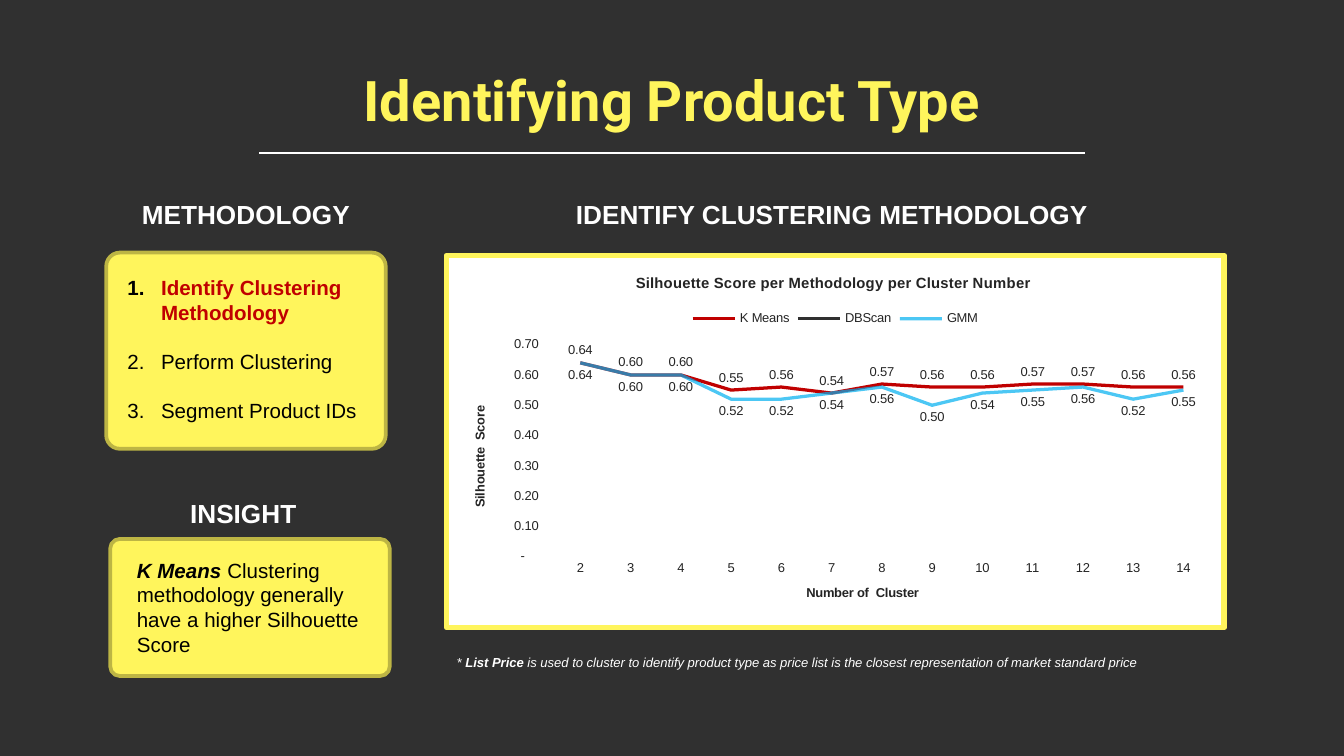
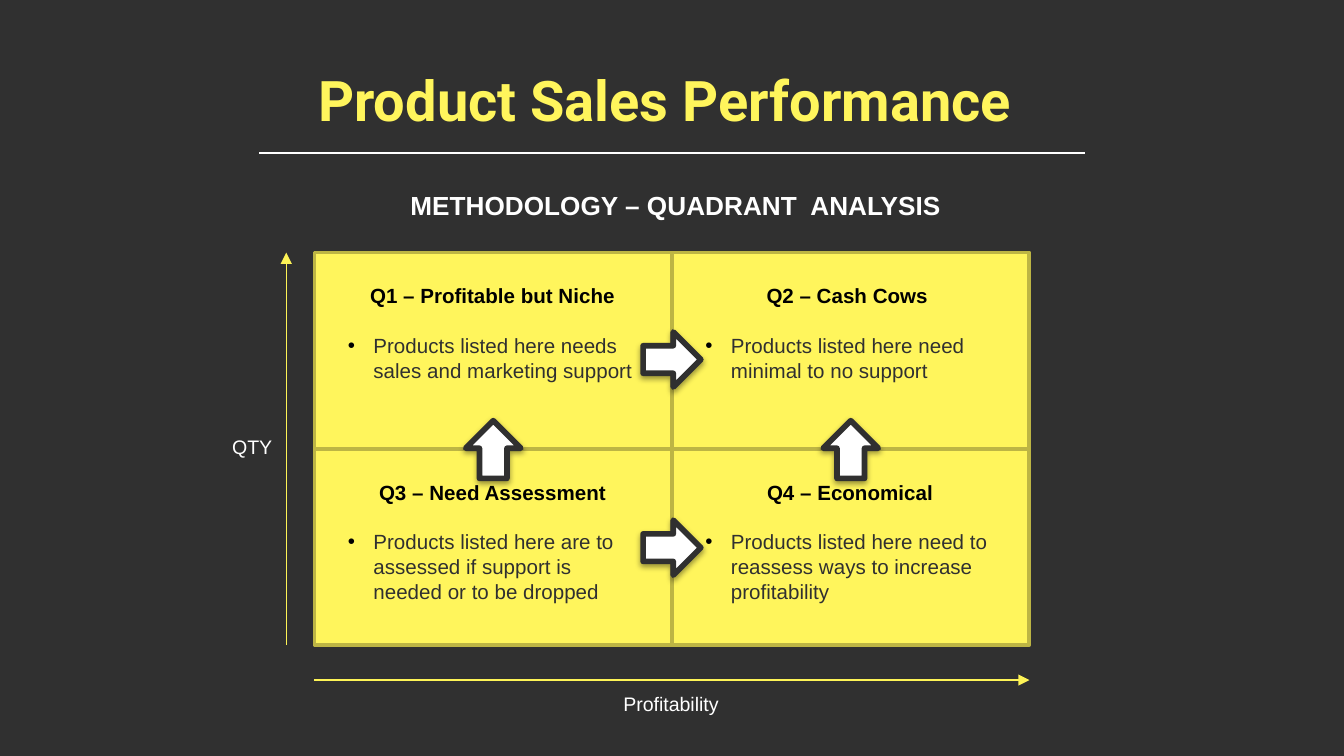
from dataclasses import dataclass
from typing import Optional

from lxml.etree import SubElement
from pptx import Presentation
from pptx.chart.data import CategoryChartData
from pptx.dml.color import RGBColor
from pptx.enum.chart import XL_CHART_TYPE as ChartType
from pptx.enum.chart import XL_LABEL_POSITION as LabelPos
from pptx.enum.chart import XL_LEGEND_POSITION as LegendPos
from pptx.enum.chart import XL_TICK_MARK as Tick
from pptx.enum.shapes import MSO_CONNECTOR as Connector
from pptx.enum.shapes import MSO_SHAPE as Shape
from pptx.enum.text import PP_ALIGN as Align
from pptx.oxml import parse_xml
from pptx.oxml.ns import nsdecls, qn
from pptx.util import Inches, Pt

COLORS = {
    "background": "303030", "yellow": "FFF55C", "olive": "BDB544",
    "axis": "FDF356", "white": "FFFFFF", "black": "000000",
    "red": "C00000", "blue": "00B0F0", "ink": "242424",
}
BODY_FONT = "Arial"
NUMBER_FORMAT = '_(* #,##0.00_);_(* \\(#,##0.00\\);_(* "-"??_);_(@_)'
CELL_WIDTH, CELL_HEIGHT = 2.66, 1.46
GRID_LEFT, GRID_TOP = 2.34, 1.88
GRID_RIGHT, GRID_BOTTOM = GRID_LEFT + 2 * CELL_WIDTH, GRID_TOP + 2 * CELL_HEIGHT
ARROW_WIDTH, ARROW_HEIGHT = 0.43, 0.41


@dataclass(frozen=True)
class Box:
    left: float
    top: float
    width: float
    height: float

    def lengths(self) -> tuple:
        return tuple(Inches(v) for v in (self.left, self.top, self.width, self.height))


@dataclass(frozen=True)
class Style:
    size: float
    color: str
    bold: bool = False
    italic: bool = False
    name: str = BODY_FONT


@dataclass(frozen=True)
class Line:
    text: str
    style: Style
    bullet: str = ""
    indent: float = 0
    before: float = 0


@dataclass(frozen=True)
class Method:
    name: str
    color: str
    scores: tuple
    label_side: LabelPos
    alpha: Optional[int] = None


@dataclass(frozen=True)
class Quadrant:
    column: int
    row: int
    name: str
    advice: str


TITLE = Style(30, "yellow", bold=True, name="Roboto")
HEADING = Style(14, "white", bold=True)
BODY = Style(11, "black")
STRONG = Style(11, "black", bold=True)
CURRENT = Style(11, "red", bold=True)
ADVICE = Style(11, "background")
AXIS_LABEL = Style(10.5, "white")
NOTE = Style(7, "white", italic=True)
CHART_TEXT = Style(7, "ink")
CHART_STRONG = Style(7, "ink", bold=True)
CHART_TITLE = Style(8, "ink", bold=True)

NUMBER, DOT = '<a:buAutoNum %s type="arabicPeriod"/>', '<a:buChar %s char="•"/>'
STEPS = [
    Line("Identify Clustering Methodology", CURRENT, NUMBER, 0.25),
    Line("Perform Clustering", BODY, NUMBER, 0.25, 13),
    Line("Segment Product IDs", BODY, NUMBER, 0.25, 13),
]
METHODS = [
    Method("K Means", "red", (0.64, 0.60, 0.60, 0.55, 0.56, 0.54, 0.57, 0.56, 0.56,
                              0.57, 0.57, 0.56, 0.56), LabelPos.ABOVE),
    Method("DBScan", "background", (None,) * 13, LabelPos.BELOW),
    Method("GMM", "blue", (0.64, 0.60, 0.60, 0.52, 0.52, 0.54, 0.56, 0.50, 0.54,
                           0.55, 0.56, 0.52, 0.55), LabelPos.BELOW, 70),
]
QUADRANTS = [
    Quadrant(0, 0, "Q1 – Profitable but Niche",
             "Products listed here needs sales and marketing support"),
    Quadrant(1, 0, "Q2 – Cash Cows ", "Products listed here need minimal to no support"),
    Quadrant(0, 1, "Q3 – Need Assessment",
             "Products listed here are to assessed if support is needed or to be dropped"),
    Quadrant(1, 1, "Q4 – Economical",
             "Products listed here need to reassess ways to increase profitability"),
]


def rgb(color: str) -> RGBColor:
    return RGBColor.from_string(COLORS[color])


def set_font(font, style: Style) -> None:
    font.name, font.size = style.name, Pt(style.size)
    font.bold, font.italic = style.bold, style.italic
    font.color.rgb = rgb(style.color)


def add_text(slide, box: Box, lines: list, align=Align.LEFT, wrap: bool = True,
             inset: float = 0.05):
    frame = slide.shapes.add_textbox(*box.lengths()).text_frame
    frame.word_wrap = wrap
    frame.margin_top = frame.margin_bottom = Inches(inset)
    for index, line in enumerate(lines):
        paragraph = frame.add_paragraph() if index else frame.paragraphs[0]
        paragraph.text = line.text
        paragraph.alignment = align
        if line.before:
            paragraph.space_before = Pt(line.before)
        if line.bullet:
            props = paragraph._p.get_or_add_pPr()
            props.set("marL", str(Inches(line.indent)))
            props.set("indent", str(-Inches(line.indent)))
            color = SubElement(props, qn("a:buClr"))
            SubElement(color, qn("a:srgbClr"), val=COLORS["black"])
            SubElement(props, qn("a:buFont"), typeface=BODY_FONT)
            props.append(parse_xml(line.bullet % nsdecls("a")))
        set_font(paragraph.font, line.style)
    return frame


def add_rich_text(slide, box: Box, parts: list) -> None:
    paragraph = add_text(slide, box, [Line("", parts[0][1])]).paragraphs[0]
    for text, style in parts:
        run = paragraph.add_run()
        run.text = text
        set_font(run.font, style)


def add_heading(slide, text: str, box: Box) -> None:
    add_text(slide, box, [Line(text, HEADING)], Align.CENTER)


def add_line(slide, start: tuple, end: tuple, color: str, arrow: bool = False) -> None:
    line = slide.shapes.add_connector(
        Connector.STRAIGHT, *(Inches(v) for v in (*start, *end)))
    line.line.color.rgb, line.line.width = rgb(color), Pt(0.75)
    if arrow:
        SubElement(line.line._get_or_add_ln(), qn("a:tailEnd"), type="triangle")
    SubElement(line._element.spPr, qn("a:effectLst"))


def add_panel(slide, kind, box: Box, fill: str = "yellow", border: str = "olive",
              width: float = 2):
    panel = slide.shapes.add_shape(kind, *box.lengths())
    panel.shadow.inherit = False
    panel.fill.solid()
    panel.fill.fore_color.rgb = rgb(fill)
    panel.line.color.rgb, panel.line.width = rgb(border), Pt(width)
    return panel


def add_card(slide, box: Box) -> None:
    add_panel(slide, Shape.ROUNDED_RECTANGLE, box).adjustments[0] = 0.07


def add_move_arrow(slide, left: float, top: float, rotation: int = 0) -> None:
    arrow = add_panel(slide, Shape.RIGHT_ARROW, Box(left, top, ARROW_WIDTH, ARROW_HEIGHT),
                      "white", "background", 3)
    arrow.rotation = rotation
    effects = arrow._element.spPr.find(qn("a:effectLst"))
    shadow = SubElement(effects, qn("a:outerShdw"), blurRad=str(Pt(3.1)),
                        dist=str(Pt(1.6)), dir="5400000", rotWithShape="0")
    color = SubElement(shadow, qn("a:srgbClr"), val=COLORS["black"])
    SubElement(color, qn("a:alpha"), val="38000")


def place(element, index: int, **fractions: float) -> None:
    for old in element.findall(qn("c:layout")):
        element.remove(old)
    layout = parse_xml(f"<c:layout {nsdecls('c')}/>")
    manual = SubElement(layout, qn("c:manualLayout"))
    if "w" in fractions and index == 0:
        SubElement(manual, qn("c:layoutTarget"), val="inner")
    for axis in "xy":
        SubElement(manual, qn(f"c:{axis}Mode"), val="edge")
    for key, value in fractions.items():
        SubElement(manual, qn(f"c:{key}"), val=str(value))
    element.insert(index, layout)


def set_title(title, text: str, style: Style, x: float, y: float) -> None:
    title.text_frame.text = text
    set_font(title.text_frame.paragraphs[0].font, style)
    place(title._element, 1, x=x, y=y)


def add_score_chart(slide, box: Box) -> None:
    data = CategoryChartData(number_format="0.00")
    data.categories = [str(count) for count in range(2, 15)]
    for method in METHODS:
        data.add_series(method.name, method.scores)
    chart = slide.shapes.add_chart(ChartType.LINE, *box.lengths(), data).chart
    set_font(chart.font, CHART_TEXT)
    chart.element.find(qn("c:chart")).addnext(parse_xml(
        f"<c:spPr {nsdecls('c', 'a')}>"
        f'<a:solidFill><a:srgbClr val="{COLORS["white"]}"/></a:solidFill>'
        f'<a:ln w="{Pt(3)}"><a:solidFill><a:srgbClr val="{COLORS["yellow"]}"/>'
        "</a:solidFill></a:ln></c:spPr>"))
    chart.has_title = chart.has_legend = True
    set_title(chart.chart_title, "Silhouette Score per Methodology per Cluster Number",
              CHART_TITLE, 0.24, 0.04)
    chart.legend.position = LegendPos.TOP
    chart.legend.include_in_layout = False
    set_font(chart.legend.font, CHART_TEXT)
    place(chart.legend._element, 1, x=0.31, y=0.14, w=0.38, h=0.06)
    place(chart.element.find(".//" + qn("c:plotArea")), 0, x=0.14, y=0.24, w=0.84, h=0.57)

    clusters, scores = chart.category_axis, chart.value_axis
    set_title(clusters.axis_title, "Number of  Cluster", CHART_STRONG, 0.46, 0.88)
    set_title(scores.axis_title, "Silhouette  Score", CHART_STRONG, 0.03, 0.4)
    rotated = scores.axis_title._element.find(".//" + qn("a:bodyPr"))
    rotated.set("rot", "-5400000")
    rotated.set("vert", "horz")
    for axis, tick in ((clusters, Tick.NONE), (scores, Tick.OUTSIDE)):
        axis.has_major_gridlines = False
        axis.major_tick_mark, axis.minor_tick_mark = tick, Tick.NONE
        axis.format.line.fill.background()
        set_font(axis.tick_labels.font, CHART_TEXT)
    scores.minimum_scale, scores.maximum_scale, scores.major_unit = 0, 0.7, 0.1
    scores.tick_labels.number_format = NUMBER_FORMAT
    scores.tick_labels.number_format_is_linked = False

    chart.plots[0].vary_by_categories = False
    for series, method in zip(chart.plots[0].series, METHODS):
        series.smooth = False
        line = series.format.line
        line.color.rgb, line.width = rgb(method.color), Pt(1.75)
        if method.alpha:
            color = line._get_or_add_ln().find(".//" + qn("a:srgbClr"))
            SubElement(color, qn("a:alpha"), val=str(method.alpha * 1000))
        labels = series.data_labels
        labels.show_value, labels.position = True, method.label_side
        labels.number_format, labels.number_format_is_linked = "0.00", False
        set_font(labels.font, CHART_TEXT)


def add_base_slide(deck, title: str):
    slide = deck.slides.add_slide(deck.slide_layouts[6])
    slide.background.fill.solid()
    slide.background.fill.fore_color.rgb = rgb("background")
    add_text(slide, Box(1.81, 0.39, 6.38, 0.83), [Line(title, TITLE)], Align.CENTER, inset=0.1)
    add_line(slide, (1.93, 1.14), (8.07, 1.14), "white")
    return slide


def build_product_type(deck) -> None:
    slide = add_base_slide(deck, "Identifying Product Type")
    add_heading(slide, "METHODOLOGY", Box(0.79, 1.43, 2.08, 0.34))
    add_card(slide, Box(0.79, 1.88, 2.08, 1.46))
    add_text(slide, Box(0.85, 2, 2.01, 1.21), STEPS)
    add_heading(slide, "IDENTIFY CLUSTERING METHODOLOGY ", Box(3.22, 1.43, 5.99, 0.34))
    add_score_chart(slide, Box(3.3, 1.88, 5.83, 2.81))
    add_heading(slide, "INSIGHT", Box(0.77, 3.65, 2.08, 0.34))
    add_card(slide, Box(0.82, 4.01, 2.08, 1.02))
    add_rich_text(slide, Box(0.92, 4.1, 1.93, 0.84), [
        ("K Means ", Style(11, "black", True, True)),
        ("Clustering methodology generally have a higher Silhouette Score", BODY)])
    add_rich_text(slide, Box(3.3, 4.82, 5.83, 0.22), [
        ("* ", NOTE), ("List Price ", Style(7, "white", True, True)),
        ("is used to cluster to identify product type as price list is the closest "
         "representation of market standard price", NOTE)])


def build_sales_performance(deck) -> None:
    slide = add_base_slide(deck, "Product Sales Performance ")
    add_heading(slide, " METHODOLOGY – QUADRANT  ANALYSIS", Box(2.34, 1.36, 5.32, 0.34))
    add_line(slide, (GRID_LEFT, 5.06), (GRID_RIGHT, 5.06), "axis", arrow=True)
    add_line(slide, (2.13, GRID_BOTTOM), (2.13, GRID_TOP), "axis", arrow=True)
    add_text(slide, Box(4.54, 5.1, 0.92, 0.28), [Line("Profitability", AXIS_LABEL)], wrap=False)
    add_text(slide, Box(1.63, 3.19, 0.5, 0.28), [Line("QTY", AXIS_LABEL)], wrap=False)
    for quadrant in QUADRANTS:
        left = GRID_LEFT + quadrant.column * CELL_WIDTH
        top = GRID_TOP + quadrant.row * CELL_HEIGHT
        add_panel(slide, Shape.RECTANGLE, Box(left, top, CELL_WIDTH, CELL_HEIGHT))
        add_text(slide, Box(left + 0.2, top + 0.18, 2.25, 0.29),
                 [Line(quadrant.name, STRONG)], Align.CENTER)
        add_text(slide, Box(left + 0.15, top + 0.55, 2.35, 0.66 if quadrant.row else 0.47),
                 [Line(quadrant.advice, ADVICE, DOT, 0.19)])
    for top in (2.47, 3.87):
        add_move_arrow(slide, GRID_LEFT + CELL_WIDTH - ARROW_WIDTH / 2, top)
    for column in range(2):
        center = GRID_LEFT + (column + 0.5) * CELL_WIDTH
        add_move_arrow(slide, center - ARROW_WIDTH / 2, 3.14, 270)


def main() -> None:
    deck = Presentation()
    deck.slide_width, deck.slide_height = Inches(10), Inches(10 * 9 / 16)
    build_product_type(deck)
    build_sales_performance(deck)
    deck.save("out.pptx")


if __name__ == "__main__":
    main()
